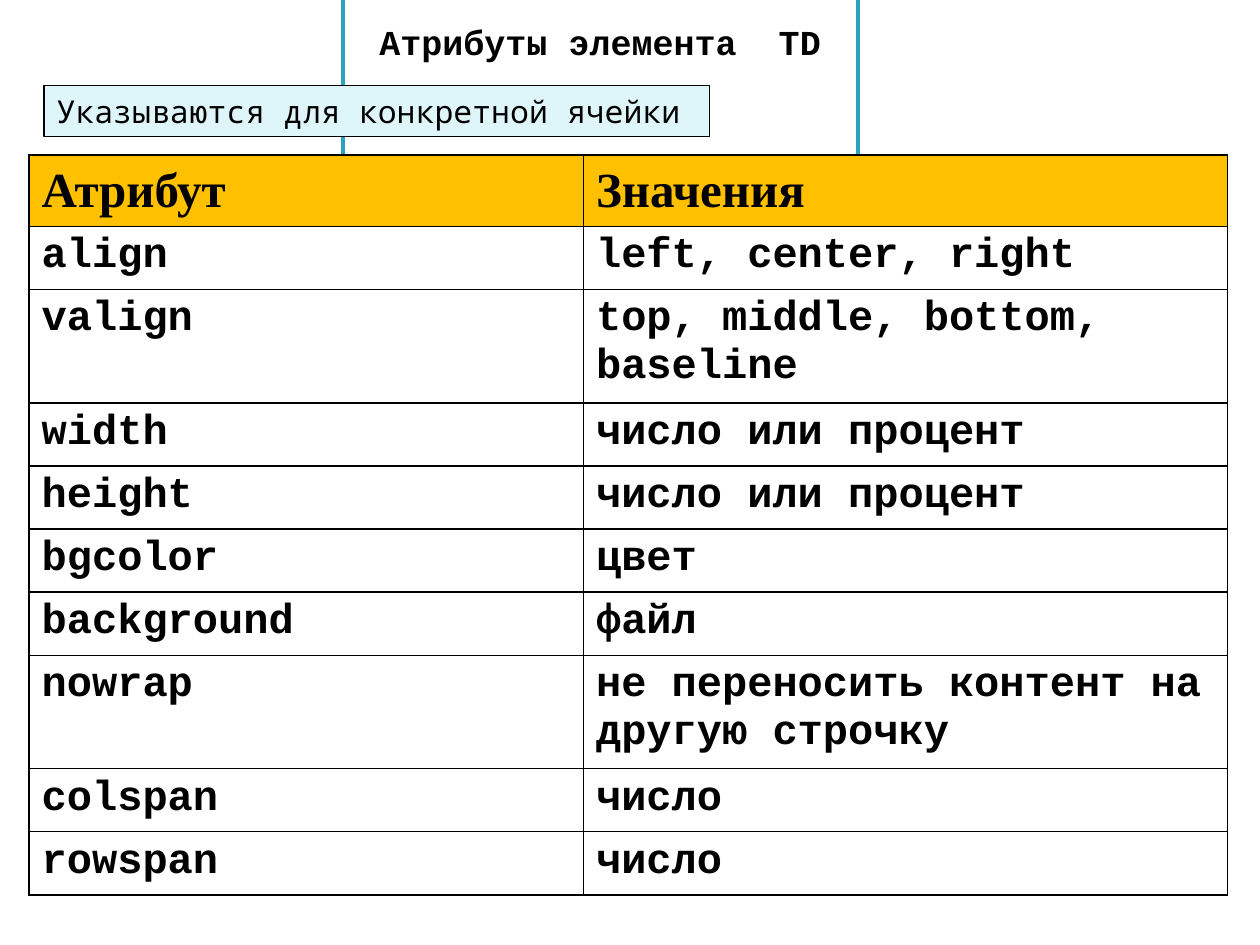
from lxml.etree import SubElement
from pptx import Presentation
from pptx.dml.color import RGBColor
from pptx.enum.shapes import MSO_SHAPE
from pptx.enum.text import MSO_ANCHOR, MSO_AUTO_SIZE, PP_ALIGN
from pptx.oxml.ns import qn
from pptx.util import Pt

HUES = {"ink": "000000", "paper": "FFFFFF", "teal": "2DA2BF",
        "pale": "DEF5FA", "gold": "FFC000"}
FONTS = {
    "title": {"name": "Courier New", "size": Pt(20), "bold": True},
    "note": {"name": "Noto Sans Mono", "size": Pt(18), "bold": False},
    "head": {"name": "Times New Roman", "size": Pt(28), "bold": True},
    "body": {"name": "Courier New", "size": Pt(24), "bold": True},
}
ROWS = [
    ("Атрибут", "Значения"),
    ("align", "left, center, right"),
    ("valign", "top, middle, bottom, baseline"),
    ("width", "число или процент"),
    ("height", "число или процент"),
    ("bgcolor", "цвет"),
    ("background", "файл"),
    ("nowrap", "не переносить контент на другую строчку"),
    ("colspan", "число"),
    ("rowspan", "число"),
]
HEAD, LINE, DOUBLE = 40.6, 36, 64.8
WIDE = ("valign", "nowrap")


def write(frame, text, style, align=PP_ALIGN.LEFT):
    frame.text = text
    par = frame.paragraphs[0]
    par.alignment = align
    font = par.runs[0].font
    for key, value in FONTS[style].items():
        setattr(font, key, value)
    font.color.rgb = RGBColor.from_string(HUES["ink"])


def paint(shape, fill, line, width):
    shape.fill.solid()
    shape.fill.fore_color.rgb = RGBColor.from_string(HUES[fill])
    shape.line.color.rgb = RGBColor.from_string(HUES[line])
    shape.line.width = Pt(width)


deck = Presentation()
deck.slide_width, deck.slide_height = Pt(720), Pt(540)
slide = deck.slides.add_slide(deck.slide_layouts[5])

# Title: the deep margins make its frame grow past the top edge
title = slide.shapes.title
place = {"left": Pt(195.8), "top": Pt(7.9), "width": Pt(294.5), "height": Pt(31.7)}
for key, value in place.items():
    setattr(title, key, value)
paint(title, "paper", "teal", 2.25)
frame = title.text_frame
write(frame, "Атрибуты элемента  TD", "title", PP_ALIGN.CENTER)
form = {"word_wrap": True, "auto_size": MSO_AUTO_SIZE.SHAPE_TO_FIT_TEXT,
        "vertical_anchor": MSO_ANCHOR.MIDDLE,
        "margin_top": Pt(41), "margin_bottom": Pt(41)}
for key, value in form.items():
    setattr(frame, key, value)

# Attribute table
grid = slide.shapes.add_table(len(ROWS), 2, Pt(16.6), Pt(88.6), Pt(684.7), Pt(422.2))
table = grid.table
table.first_row = table.horz_banding = False
table.columns[0].width, table.columns[1].width = Pt(316.8), Pt(367.9)
for r, row in enumerate(ROWS):
    high = HEAD if r == 0 else DOUBLE if row[0] in WIDE else LINE
    table.rows[r].height = Pt(high)
    for c, text in enumerate(row):
        cell = table.cell(r, c)
        write(cell.text_frame, text, "body" if r else "head")
        cell.vertical_anchor = MSO_ANCHOR.TOP if r else MSO_ANCHOR.MIDDLE
        props = cell._tc.get_or_add_tcPr()
        for side in ("a:lnL", "a:lnR", "a:lnT", "a:lnB"):
            edge = SubElement(props, qn(side), w=str(Pt(1)))
            SubElement(SubElement(edge, qn("a:solidFill")), qn("a:srgbClr"), val=HUES["ink"])
        if r:
            cell.fill.background()
        else:
            cell.fill.solid()
            cell.fill.fore_color.rgb = RGBColor.from_string(HUES["gold"])

# Note over the title's lower edge
note = slide.shapes.add_shape(MSO_SHAPE.RECTANGLE, Pt(25.2), Pt(49), Pt(380.2), Pt(29))
note.shadow.inherit = False
paint(note, "pale", "ink", 0.75)
write(note.text_frame, "Указываются для конкретной ячейки", "note")
note.text_frame.word_wrap = True
note.text_frame.auto_size = MSO_AUTO_SIZE.SHAPE_TO_FIT_TEXT
note.text_frame.vertical_anchor = MSO_ANCHOR.TOP

deck.save("out.pptx")
